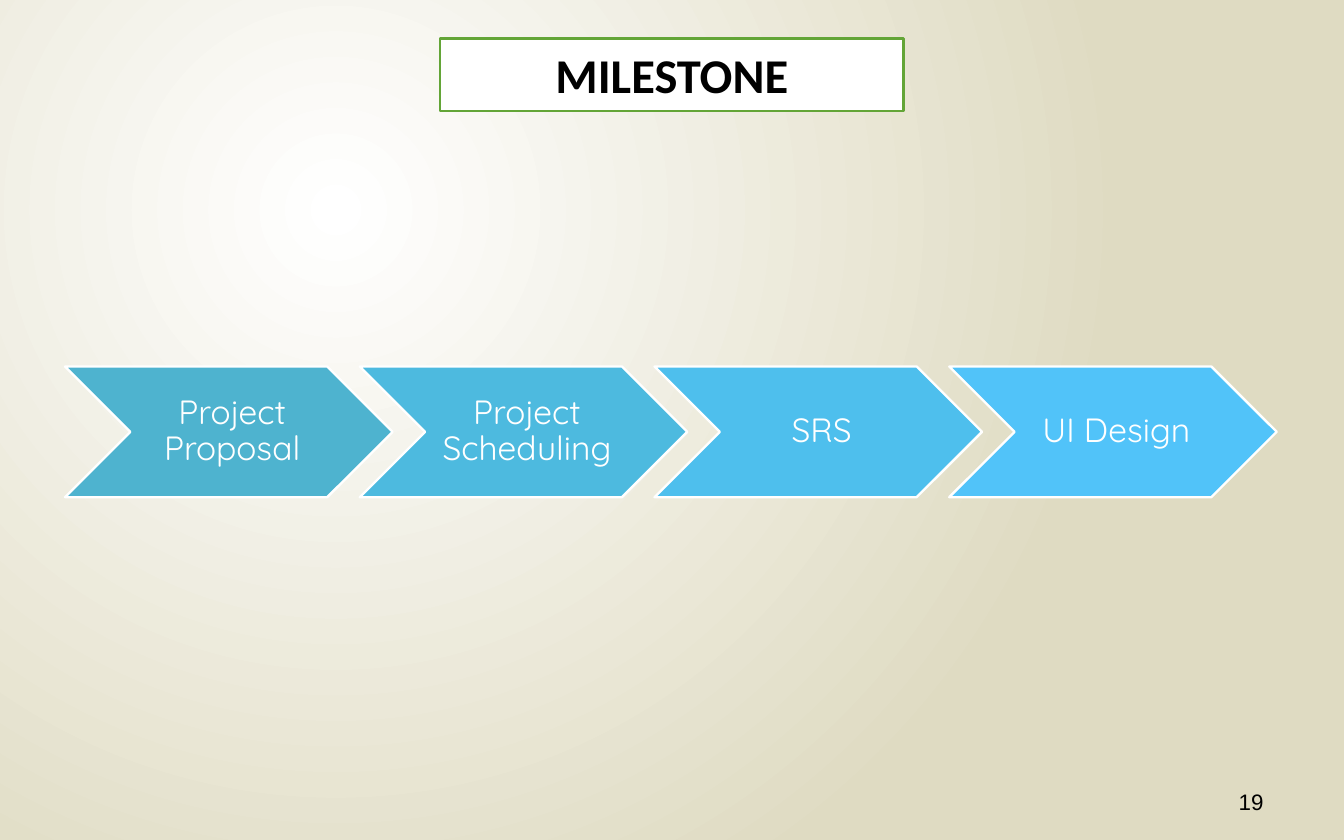
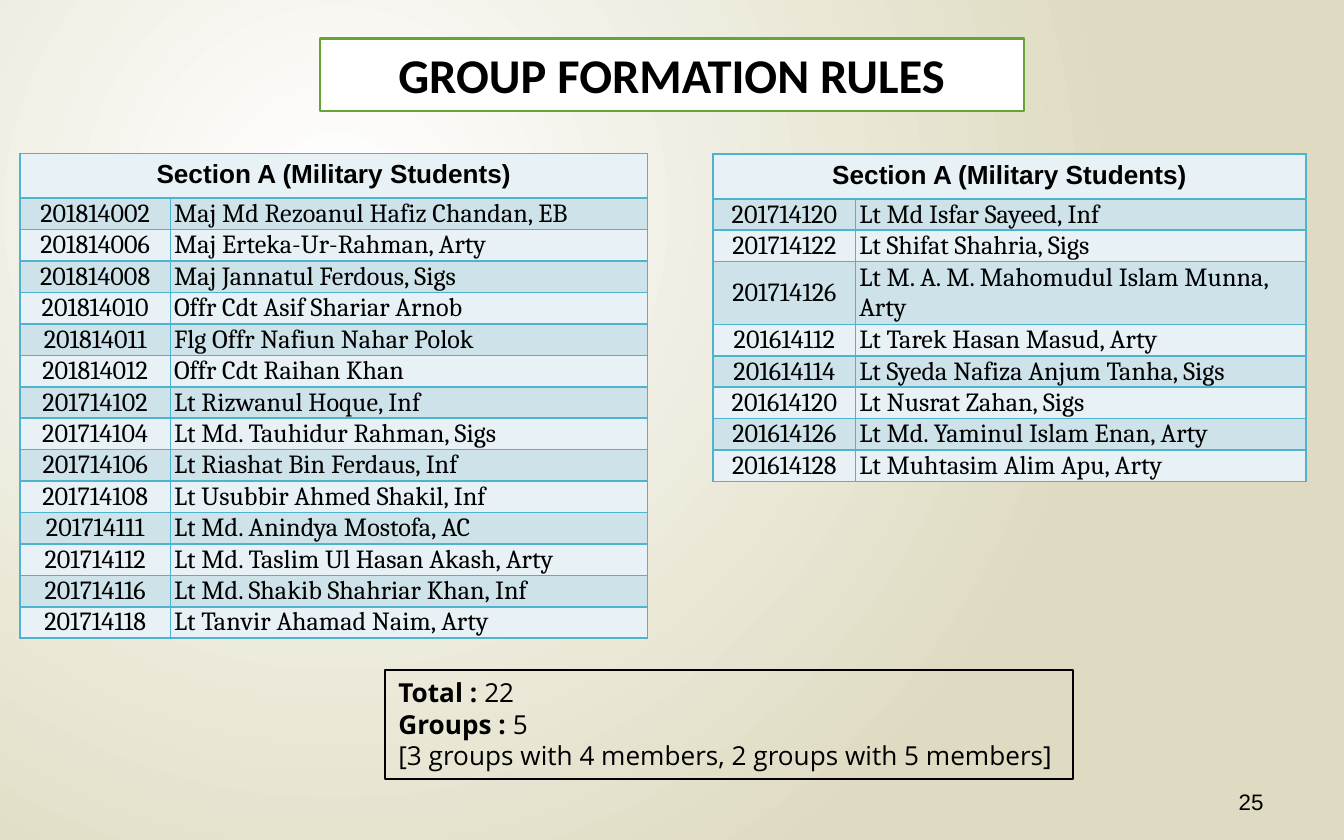
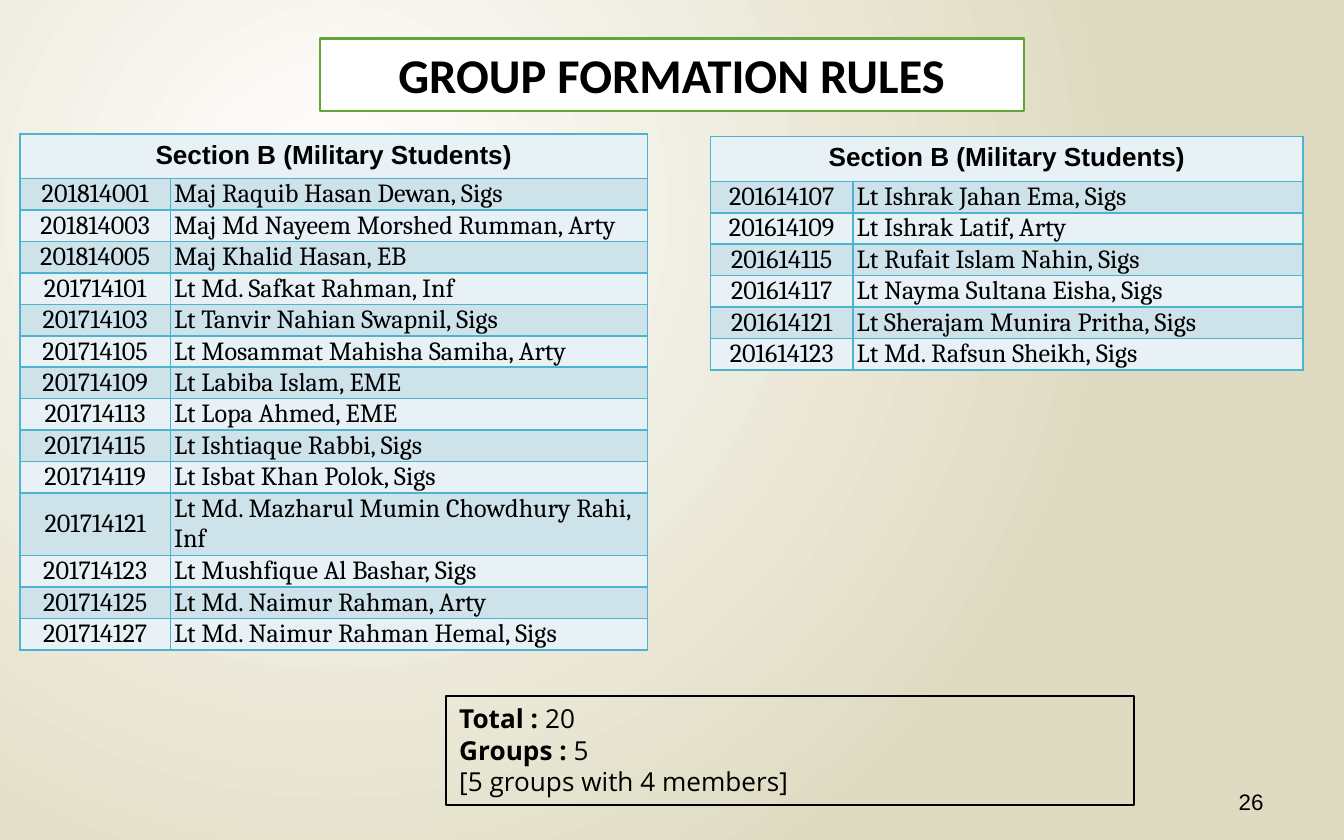
import dataclasses

import lxml.etree
import pptx
import pptx.dml.color
import pptx.enum.shapes
import pptx.enum.text
import pptx.oxml.ns
import pptx.util

Cm = pptx.util.Cm
Pt = pptx.util.Pt
Align = pptx.enum.text.PP_ALIGN
Anchor = pptx.enum.text.MSO_ANCHOR
Preset = pptx.enum.shapes.MSO_SHAPE
qn = pptx.oxml.ns.qn


@dataclasses.dataclass(frozen=True)
class TextStyle:
    font: str
    size: float
    color: str = "000000"
    bold: bool = False


@dataclasses.dataclass(frozen=True)
class Theme:
    white: str = "FFFFFF"
    black: str = "000000"
    sand: str = "DFDBC2"
    green: str = "63A537"
    teal: str = "4EB3CF"
    header_fill: str = "E8F1F5"
    row_fills: tuple = ("CEE2EA", "E8F1F5")
    step_fills: tuple = ("4EB3CF", "4DBADF", "4EBFED", "51C3F9")
    title: TextStyle = TextStyle("Calibri", 26, bold=True)
    page: TextStyle = TextStyle("Arial", 12)
    step: TextStyle = TextStyle("Quicksand", 18, "FFFFFF")
    table_header: TextStyle = TextStyle("Arial", 14, bold=True)
    table_body: TextStyle = TextStyle("Cambria", 14)
    note: TextStyle = TextStyle("Open Sans", 14)
    note_label: TextStyle = TextStyle("Open Sans", 14, bold=True)


SLIDE_WIDTH = 25.4
SLIDE_HEIGHT = 15.88
HEADER_HEIGHT = 0.84
LINE_HEIGHT = 0.59
WRAP_LENGTH = 36
WIDE_COLUMNS = (2.84, 9.02)
NARROW_COLUMNS = (2.69, 8.51)

STEPS = ("Project Proposal", "Project Scheduling", "SRS", "UI Design")

SECTION_A_LEFT = (
    ("201814002", "Maj Md Rezoanul Hafiz Chandan, EB"),
    ("201814006", "Maj Erteka-Ur-Rahman, Arty"),
    ("201814008", "Maj Jannatul Ferdous, Sigs"),
    ("201814010", "Offr Cdt Asif Shariar Arnob"),
    ("201814011", "Flg Offr Nafiun Nahar Polok"),
    ("201814012", "Offr Cdt Raihan Khan"),
    ("201714102", "Lt Rizwanul Hoque, Inf"),
    ("201714104", "Lt Md. Tauhidur Rahman, Sigs"),
    ("201714106", "Lt Riashat Bin Ferdaus, Inf"),
    ("201714108", "Lt Usubbir Ahmed Shakil, Inf"),
    ("201714111", "Lt Md. Anindya Mostofa, AC"),
    ("201714112", "Lt Md. Taslim Ul Hasan Akash, Arty"),
    ("201714116", "Lt Md. Shakib Shahriar Khan, Inf"),
    ("201714118", "Lt Tanvir Ahamad Naim, Arty"),
)
SECTION_A_RIGHT = (
    ("201714120", "Lt Md Isfar Sayeed, Inf"),
    ("201714122", "Lt Shifat Shahria, Sigs"),
    ("201714126", "Lt M. A. M. Mahomudul Islam Munna, Arty"),
    ("201614112", "Lt Tarek Hasan Masud, Arty"),
    ("201614114", "Lt Syeda Nafiza Anjum Tanha, Sigs"),
    ("201614120", "Lt Nusrat Zahan, Sigs"),
    ("201614126", "Lt Md. Yaminul Islam Enan, Arty"),
    ("201614128", "Lt Muhtasim Alim Apu, Arty"),
)
SECTION_B_LEFT = (
    ("201814001", "Maj Raquib Hasan Dewan, Sigs"),
    ("201814003", "Maj Md Nayeem Morshed Rumman, Arty"),
    ("201814005", "Maj Khalid Hasan, EB"),
    ("201714101", "Lt Md. Safkat Rahman, Inf"),
    ("201714103", "Lt Tanvir Nahian Swapnil, Sigs"),
    ("201714105", "Lt Mosammat Mahisha Samiha, Arty"),
    ("201714109", "Lt Labiba Islam, EME"),
    ("201714113", "Lt Lopa Ahmed, EME"),
    ("201714115", "Lt Ishtiaque Rabbi, Sigs"),
    ("201714119", "Lt Isbat Khan Polok, Sigs"),
    ("201714121", "Lt Md. Mazharul Mumin Chowdhury Rahi, Inf"),
    ("201714123", "Lt Mushfique Al Bashar, Sigs"),
    ("201714125", "Lt Md. Naimur Rahman, Arty"),
    ("201714127", "Lt Md. Naimur Rahman Hemal, Sigs"),
)
SECTION_B_RIGHT = (
    ("201614107", "Lt Ishrak Jahan Ema, Sigs"),
    ("201614109", "Lt Ishrak Latif, Arty"),
    ("201614115", "Lt Rufait Islam Nahin, Sigs"),
    ("201614117", "Lt Nayma Sultana Eisha, Sigs"),
    ("201614121", "Lt Sherajam Munira Pritha, Sigs"),
    ("201614123", "Lt Md. Rafsun Sheikh, Sigs"),
)


def rgb(color):
    return pptx.dml.color.RGBColor.from_string(color)


def set_margins(target, left, top, right, bottom):
    target.margin_left, target.margin_top = Cm(left), Cm(top)
    target.margin_right, target.margin_bottom = Cm(right), Cm(bottom)


class Deck:
    def __init__(self, theme):
        self.theme = theme
        self.slide = None
        self.presentation = pptx.Presentation()
        self.presentation.slide_width = Cm(SLIDE_WIDTH)
        self.presentation.slide_height = Cm(SLIDE_HEIGHT)
        self.set_background()

    def set_background(self):
        master = self.presentation.slide_master
        fill = master.background.fill
        fill.gradient()
        for stop, color in zip(fill.gradient_stops, (self.theme.white, self.theme.sand)):
            stop.color.rgb = rgb(color)
        gradient = master.element.find(".//" + qn("a:gradFill"))
        gradient.remove(gradient.find(qn("a:lin")))
        circle = lxml.etree.SubElement(gradient, qn("a:path"), path="circle")
        lxml.etree.SubElement(
            circle, qn("a:fillToRect"), l="50000", t="50000", r="100000", b="100000"
        )

    def add_slide(self, title, title_width, page):
        self.slide = self.presentation.slides.add_slide(self.presentation.slide_layouts[6])
        self.add_title(title, title_width)
        self.add_page_number(page)

    def format_paragraph(self, paragraph, style, alignment):
        paragraph.alignment = alignment
        for run in paragraph.runs:
            self.format_run(run, style)

    def format_run(self, run, style):
        run.font.name = style.font
        run.font.size = Pt(style.size)
        run.font.bold = style.bold
        run.font.color.rgb = rgb(style.color)

    def add_box(self, preset, left, top, width, height, fill, line, line_width):
        shape = self.slide.shapes.add_shape(preset, Cm(left), Cm(top), Cm(width), Cm(height))
        shape.shadow.inherit = False
        if fill:
            shape.fill.solid()
            shape.fill.fore_color.rgb = rgb(fill)
        else:
            shape.fill.background()
        shape.line.color.rgb = rgb(line)
        shape.line.width = Pt(line_width)
        return shape

    def add_title(self, text, width):
        theme = self.theme
        shape = self.add_box(Preset.RECTANGLE, (SLIDE_WIDTH - width) / 2, 0.73, width, 1.37,
                             theme.white, theme.green, 1.25)
        frame = shape.text_frame
        frame.text = text
        frame.vertical_anchor = Anchor.TOP
        frame.auto_size = pptx.enum.text.MSO_AUTO_SIZE.SHAPE_TO_FIT_TEXT
        self.format_paragraph(frame.paragraphs[0], theme.title, Align.CENTER)

    def add_page_number(self, page):
        box = self.slide.shapes.add_textbox(Cm(18.2), Cm(14.72), Cm(5.93), Cm(0.85))
        frame = box.text_frame
        frame.word_wrap = True
        frame.text = str(page)
        frame.vertical_anchor = Anchor.MIDDLE
        self.format_paragraph(frame.paragraphs[0], self.theme.page, Align.RIGHT)

    def add_steps(self, steps):
        for index, (step, fill) in enumerate(zip(steps, self.theme.step_fills)):
            shape = self.add_box(Preset.CHEVRON, 1.23 + index * 5.57, 6.93, 6.19, 2.47,
                                 fill, self.theme.white, 1.25)
            frame = shape.text_frame
            frame.text = step
            frame.word_wrap = True
            frame.vertical_anchor = Anchor.MIDDLE
            set_margins(frame, 0.2, 0.07, 0.07, 0.07)
            paragraph = frame.paragraphs[0]
            paragraph.line_spacing = 0.9
            self.format_paragraph(paragraph, self.theme.step, Align.CENTER)

    def add_roster(self, heading, students, left, top, columns):
        theme = self.theme
        heights = [HEADER_HEIGHT]
        for _, name in students:
            heights.append(LINE_HEIGHT * (2 if len(name) > WRAP_LENGTH else 1))
        frame = self.slide.shapes.add_table(
            len(heights), 2, Cm(left), Cm(top), Cm(sum(columns)), Cm(sum(heights))
        )
        table = frame.table
        table.first_row = table.horz_banding = False
        for column, width in zip(table.columns, columns):
            column.width = Cm(width)
        for row, height in zip(table.rows, heights):
            row.height = Cm(height)
        table.cell(0, 0).merge(table.cell(0, 1))
        self.style_cell(table.cell(0, 0), heading, theme.header_fill,
                        theme.table_header, Align.CENTER)
        self.style_cell(table.cell(0, 1), "", theme.header_fill,
                        theme.table_header, Align.CENTER)
        for index, student in enumerate(students):
            for column, alignment in enumerate((Align.CENTER, Align.LEFT)):
                cell = table.cell(index + 1, column)
                self.style_cell(cell, student[column], theme.row_fills[index % 2],
                                theme.table_body, alignment)
                cell.vertical_anchor = Anchor.MIDDLE
                set_margins(cell, 0.07, 0, 0.07, 0)

    def style_cell(self, cell, text, fill, style, alignment):
        if text:
            cell.text = text
            self.format_paragraph(cell.text_frame.paragraphs[0], style, alignment)
        properties = cell._tc.get_or_add_tcPr()
        for side in ("a:lnL", "a:lnR", "a:lnT", "a:lnB"):
            border = lxml.etree.SubElement(properties, qn(side), w=str(Pt(1)))
            solid = lxml.etree.SubElement(border, qn("a:solidFill"))
            lxml.etree.SubElement(solid, qn("a:srgbClr"), val=self.theme.teal)
        cell.fill.solid()
        cell.fill.fore_color.rgb = rgb(fill)

    def add_note(self, left, top, total, groups, split):
        theme = self.theme
        shape = self.add_box(Preset.RECTANGLE, left, top, 13, 2.06, None, theme.black, 1)
        frame = shape.text_frame
        frame.text = "\n".join(("Total : ", "Groups : ", split))
        frame.vertical_anchor = Anchor.TOP
        frame.auto_size = pptx.enum.text.MSO_AUTO_SIZE.SHAPE_TO_FIT_TEXT
        styles = (theme.note_label, theme.note_label, theme.note)
        for paragraph, style in zip(frame.paragraphs, styles):
            self.format_paragraph(paragraph, style, Align.JUSTIFY)
        for paragraph, value in zip(frame.paragraphs, (total, groups)):
            run = paragraph.add_run()
            run.text = str(value)
            self.format_run(run, theme.note)


def main():
    deck = Deck(Theme())

    deck.add_slide("MILESTONE", 8.76, 19)
    deck.add_steps(STEPS)

    deck.add_slide("GROUP FORMATION RULES", 13.3, 25)
    heading = "Section A (Military Students)"
    deck.add_roster(heading, SECTION_A_LEFT, 0.38, 2.9, WIDE_COLUMNS)
    deck.add_roster(heading, SECTION_A_RIGHT, 13.48, 2.91, NARROW_COLUMNS)
    deck.add_note(7.28, 12.67, 22, 5, "[3 groups with 4 members, 2 groups with 5 members]")

    deck.add_slide("GROUP FORMATION RULES", 13.3, 26)
    heading = "Section B (Military Students)"
    deck.add_roster(heading, SECTION_B_LEFT, 0.38, 2.53, WIDE_COLUMNS)
    deck.add_roster(heading, SECTION_B_RIGHT, 13.43, 2.58, NARROW_COLUMNS)
    deck.add_note(8.43, 13.16, 20, 5, "[5 groups with 4 members]")

    deck.presentation.save("out.pptx")


if __name__ == "__main__":
    main()
